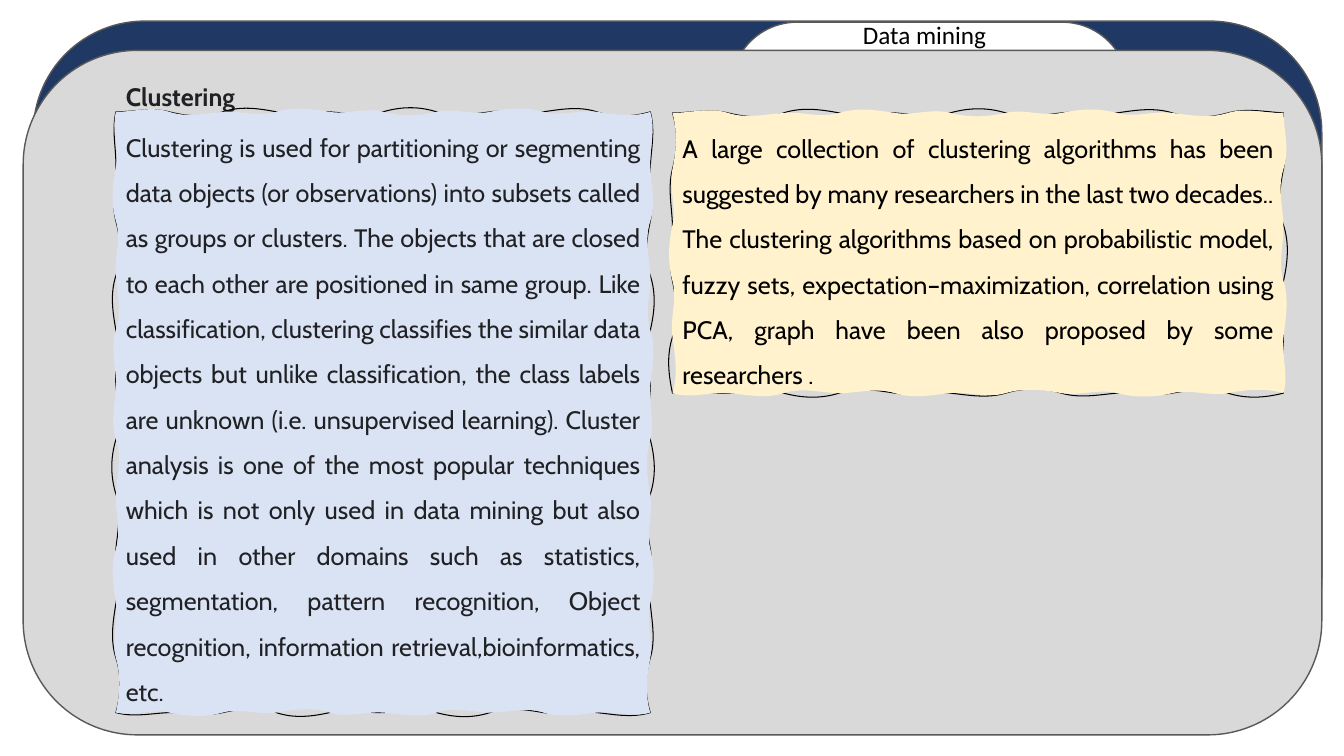
from math import sin
from lxml.etree import SubElement
from pptx import Presentation
from pptx.dml.color import RGBColor as RGB
from pptx.enum.shapes import MSO_SHAPE as Kind
from pptx.enum.text import MSO_ANCHOR as Anchor, MSO_AUTO_SIZE as Auto, PP_ALIGN as Align
from pptx.oxml.ns import qn
from pptx.util import Inches, Pt

HUES = {"navy": "203864", "white": "FFFFFF", "gray": "D9D9D9", "edge": "595959",
        "blue": "DAE3F3", "cream": "FFF2CC", "ink": "202124", "black": "000000"}
STEP = 0.55  # length of one wave on a torn edge
WAVE = 0.06  # height of a wave

deck = Presentation()
deck.slide_width, deck.slide_height = Inches(13.33), Inches(7.5)
slide = deck.slides.add_slide(deck.slide_layouts[6])


def write(shape, words, font, hue, bold=False):
    frame = shape.text_frame
    frame.word_wrap = True
    frame.auto_size = Auto.SHAPE_TO_FIT_TEXT
    frame.vertical_anchor = Anchor.TOP
    para = frame.paragraphs[0]
    para.text = words
    para.alignment = Align.LEFT
    para.font.name, para.font.size, para.font.bold = font, Pt(18), bold
    para.font.color.rgb = RGB.from_string(HUES[hue])
    return para


def tear(paths, wide, high, seed, **flags):
    """Add one closed path whose four sides wave about the box."""
    path = SubElement(paths, qn("a:path"), w=str(Inches(wide)), h=str(Inches(high)), **flags)

    def point(node, x, y):
        SubElement(node, qn("a:pt"), x=str(Inches(x)), y=str(Inches(y)))

    point(SubElement(path, qn("a:moveTo")), 0, 0)
    turn = 0
    sides = [(0, 0, 1, 0, wide), (wide, 0, 0, 1, high),
             (wide, high, -1, 0, wide), (0, high, 0, -1, high)]
    for x, y, dx, dy, size in sides:
        count = round(size / STEP)
        gap = size / count
        for i in range(count):
            curve = SubElement(path, qn("a:cubicBezTo"))
            bends = WAVE * sin(seed * turn), -WAVE * sin(seed * (turn + 1)), 0
            for part, bend in zip((1 / 3, 2 / 3, 1), bends):
                far = (i + part) * gap
                point(curve, x + dx * far - dy * bend, y + dy * far + dx * bend)
            turn += 1
    SubElement(path, qn("a:close"))


# Folder: back sheet, tab and front sheet
folder = slide.shapes.add_group_shape().shapes
for hue, *box in [("navy", 0.33, 0.21, 12.78, 6.63),
                  ("white", 7.25, 0.22, 3.94, 7.06),
                  ("gray", 0.23, 0.5, 12.88, 6.79)]:
    sheet = folder.add_shape(Kind.ROUNDED_RECTANGLE, *map(Inches, box))
    sheet.shadow.inherit = False
    sheet.fill.solid()
    sheet.fill.fore_color.rgb = RGB.from_string(HUES[hue])
    sheet.line.color.rgb = RGB.from_string(HUES["edge"])
    sheet.line.width = Pt(1)

# Tab label and heading
for words, font, hue, bold, *box in [
        ("Data mining", "Calibri", "black", False, 8.46, 0.14, 1.51, 0.4),
        ("Clustering", "Cabin", "ink", True, 1.15, 0.76, 6.67, 0.4)]:
    write(slide.shapes.add_textbox(*map(Inches, box)), words, font, hue, bold)

# Torn paper notes: a waving outline under a waving fill
LEFT = (
    "Clustering is used for partitioning or segmenting data objects (or observations) "
    "into subsets called as groups or clusters. The objects that are closed to each other "
    "are positioned in same group. Like classification, clustering classifies the similar "
    "data objects but unlike classification, the class labels are unknown (i.e. "
    "unsupervised learning). Cluster analysis is one of the most popular techniques which "
    "is not only used in data mining but also used in other domains such as statistics, "
    "segmentation, pattern recognition, Object recognition, information "
    "retrieval,bioinformatics, etc.")
RIGHT = (
    "A large collection of clustering algorithms has been suggested by many researchers "
    "in the last two decades.. The clustering algorithms based on probabilistic model, "
    "fuzzy sets, expectation–maximization, correlation using PCA, graph have been also "
    "proposed by some researchers .")
for words, hue, ink, x, y, wide, high in [
        (LEFT, "blue", "ink", 1.15, 1.11, 5.3, 5.96),
        (RIGHT, "cream", "black", 6.67, 1.12, 6.06, 2.78)]:
    pen = slide.shapes.build_freeform(Inches(x), Inches(y))
    pen.add_line_segments([(Inches(x + a * wide), Inches(y + b * high))
                           for a, b in [(1, 0), (1, 1), (0, 1)]])
    note = pen.convert_to_shape()
    note.shadow.inherit = False
    note.fill.solid()
    note.fill.fore_color.rgb = RGB.from_string(HUES[hue])
    note.line.color.rgb = RGB.from_string(HUES["black"])
    note.line.width = Pt(0.75)
    paths = next(note.element.iter(qn("a:pathLst")))
    paths.clear()
    tear(paths, wide, high, 2.3, fill="none")
    tear(paths, wide, high, 1.7, stroke="0")
    para = write(note, words, "Cabin", ink)
    para.alignment = Align.JUSTIFY
    para.line_spacing = 1.5

deck.save("out.pptx")
